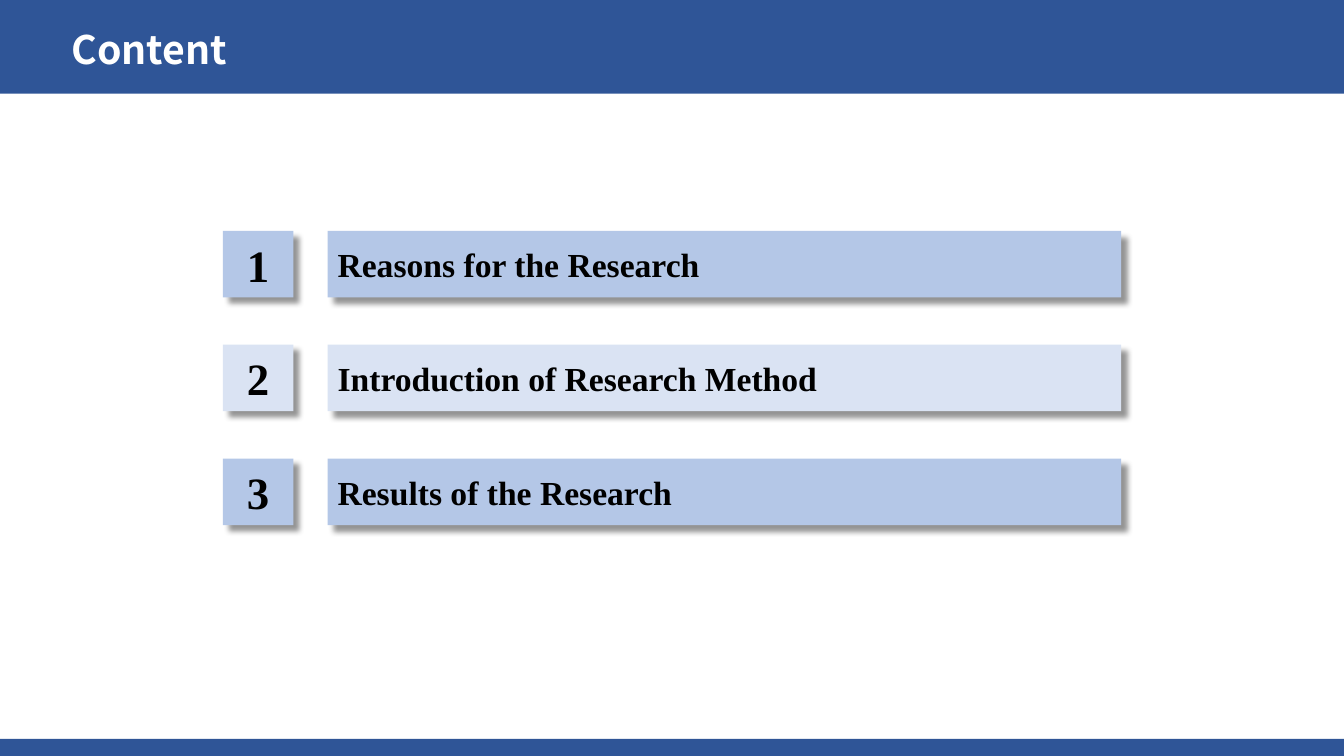
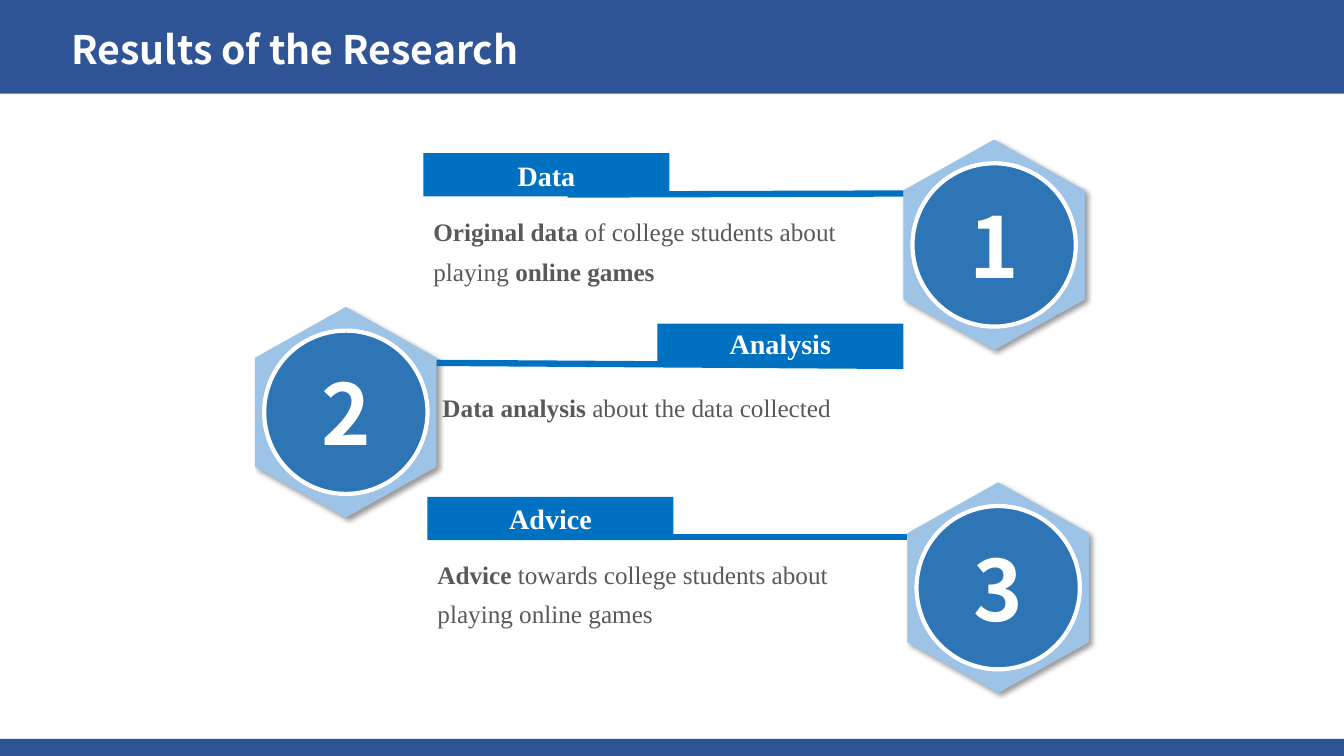
from lxml import etree
from pptx import Presentation
from pptx.dml.color import RGBColor
from pptx.enum.shapes import MSO_CONNECTOR, MSO_SHAPE
from pptx.enum.text import MSO_ANCHOR, MSO_AUTO_SIZE, PP_ALIGN
from pptx.oxml.ns import qn
from pptx.util import Inches, Pt

RECTANGLE, HEXAGON, OVAL = MSO_SHAPE.RECTANGLE, MSO_SHAPE.HEXAGON, MSO_SHAPE.OVAL
STRAIGHT, FIXED_SIZE = MSO_CONNECTOR.STRAIGHT, MSO_AUTO_SIZE.NONE
LEFT, CENTER = PP_ALIGN.LEFT, PP_ALIGN.CENTER
TOP, MIDDLE = MSO_ANCHOR.TOP, MSO_ANCHOR.MIDDLE

SLIDE_WIDTH, SLIDE_HEIGHT = 13.33, 7.5
TITLE_ONLY_LAYOUT = 5

NAVY, WHITE, BLACK, GREY = "2F5597", "FFFFFF", "000000", "595959"
ROW_BLUE, ROW_PALE = "B4C7E7", "DAE3F3"
HEXAGON_BLUE, DISC_BLUE, LABEL_BLUE = "9DC3E6", "2E75B6", "0070C0"
SANS, SERIF = "Noto Sans CJK SC", "Times New Roman"


def color(hex_string):
    return RGBColor.from_string(hex_string)


def add_shadow(shape, opacity, distance):
    """Cast a soft shadow to the lower right; distance is in points."""
    properties = shape.element.spPr
    effects = properties.find(qn("a:effectLst"))
    shadow = etree.SubElement(
        effects, qn("a:outerShdw"), blurRad=str(Pt(4)), dist=str(Pt(distance)),
        dir=str(45 * 60000), algn="tl", rotWithShape="0")
    shade = etree.SubElement(shadow, qn("a:srgbClr"), val=BLACK)
    etree.SubElement(shade, qn("a:alpha"), val=str(opacity * 1000))


class Deck:
    """Holds the presentation, its shared style and the current slide."""

    def __init__(self):
        self.presentation = Presentation()
        self.presentation.slide_width = Inches(SLIDE_WIDTH)
        self.presentation.slide_height = Inches(SLIDE_HEIGHT)
        self.slide = None

    def new_slide(self, title):
        layout = self.presentation.slide_layouts[TITLE_ONLY_LAYOUT]
        self.slide = self.presentation.slides.add_slide(layout)
        self.shape(RECTANGLE, 0, 0, SLIDE_WIDTH, 0.93, NAVY)
        self.shape(RECTANGLE, 0, 7.33, SLIDE_WIDTH, 0.17, NAVY)
        placeholder = self.slide.shapes.title
        placeholder.left, placeholder.top = Inches(0.61), Inches(0.2)
        placeholder.width, placeholder.height = Inches(7.34), Inches(0.57)
        self.set_text(placeholder, [(title, True)], 28, WHITE, SANS, anchor=TOP)
        # Bring the title in front of the top band.
        placeholder.element.getparent().append(placeholder.element)

    def set_text(self, shape, runs, size, text_color, font=SERIF, align=LEFT,
                 anchor=MIDDLE, spacing=1.0):
        """Fill the shape with one paragraph of (text, bold) runs."""
        frame = shape.text_frame
        frame.word_wrap = True
        frame.auto_size = FIXED_SIZE
        frame.vertical_anchor = anchor
        paragraph = frame.paragraphs[0]
        paragraph.alignment = align
        paragraph.line_spacing = spacing
        for text, bold in runs:
            run = paragraph.add_run()
            run.text = text
            run.font.name = font
            run.font.size = Pt(size)
            run.font.bold = bold
            run.font.color.rgb = color(text_color)

    def shape(self, kind, left, top, width, height, fill):
        shape = self.slide.shapes.add_shape(
            kind, Inches(left), Inches(top), Inches(width), Inches(height))
        shape.shadow.inherit = False
        shape.fill.solid()
        shape.fill.fore_color.rgb = color(fill)
        shape.line.fill.background()
        return shape

    def body(self, left, top, width, height, runs):
        box = self.slide.shapes.add_textbox(
            Inches(left), Inches(top), Inches(width), Inches(height))
        self.set_text(box, runs, 18, GREY, anchor=TOP, spacing=1.3)

    def line(self, start, end):
        connector = self.slide.shapes.add_connector(
            STRAIGHT, *(Inches(value) for value in start + end))
        connector.line.color.rgb = color(LABEL_BLUE)
        connector.line.width = Pt(4.5)
        etree.SubElement(connector.element.spPr, qn("a:effectLst"))

    def label(self, left, top, height, text):
        box = self.shape(RECTANGLE, left, top, 2.44, height, LABEL_BLUE)
        self.set_text(box, [(text, True)], 20, WHITE, align=CENTER)

    def content_row(self, top, number, text, fill):
        cells = [(2.21, 0.7, number, 32, CENTER), (3.25, 7.87, text, 24, LEFT)]
        for left, width, words, size, align in cells:
            box = self.shape(RECTANGLE, left, top, width, 0.66, fill)
            add_shadow(box, 41, 6)
            self.set_text(box, [(words, True)], size, BLACK, align=align)

    def badge(self, center_x, center_y, number):
        """Draw an upright hexagon with a numbered disc in its middle."""
        width, height, diameter = 2.09, 1.8, 1.62
        hexagon = self.shape(HEXAGON, center_x - width / 2, center_y - height / 2,
                             width, height, HEXAGON_BLUE)
        hexagon.adjustments[0] = 0.28
        hexagon.rotation = 270
        add_shadow(hexagon, 40, 3)
        disc = self.shape(OVAL, center_x - diameter / 2, center_y - diameter / 2,
                          diameter, diameter, DISC_BLUE)
        disc.line.color.rgb = color(WHITE)
        disc.line.width = Pt(3)
        frame = disc.text_frame
        frame.margin_left = frame.margin_right = 0
        frame.margin_top = frame.margin_bottom = 0
        self.set_text(disc, [(number, True)], 60, WHITE, SANS, CENTER)


def build_content(deck):
    deck.new_slide("Content")
    topics = ["Reasons for the Research", "Introduction of Research Method",
              "Results of the Research"]
    for index, topic in enumerate(topics):
        fill = ROW_PALE if index % 2 else ROW_BLUE
        deck.content_row(2.29 + 1.13 * index, str(index + 1), topic, fill)


def build_results(deck):
    deck.new_slide("Results of the Research")
    # Badge centre, line start and end, label box and text, body box and runs.
    results = [
        ((9.86, 2.43), (5.63, 1.93), (8.96, 1.92), (4.2, 1.52, 0.43, "Data"),
         (4.2, 2.01, 4.71, 0.85),
         [("Original data ", True), ("of college students about playing ", False),
          ("online games", True)]),
        ((3.43, 4.09), (4.33, 3.6), (8.96, 3.63), (6.52, 3.21, 0.39, "Analysis"),
         (4.29, 3.75, 4.62, 0.46),
         [("Data analysis ", True), ("about the data collected", False)]),
        ((9.9, 5.83), (5.67, 5.33), (9, 5.33), (4.24, 4.93, 0.43, "Advice"),
         (4.24, 5.41, 4.71, 0.85),
         [("Advice", True),
          (" towards college students about playing online games", False)]),
    ]
    for number, (center, start, end, label, box, runs) in enumerate(results, 1):
        deck.badge(*center, str(number))
        deck.line(start, end)
        deck.label(*label)
        deck.body(*box, runs)


def main():
    deck = Deck()
    build_content(deck)
    build_results(deck)
    deck.presentation.save("out.pptx")


if __name__ == "__main__":
    main()
